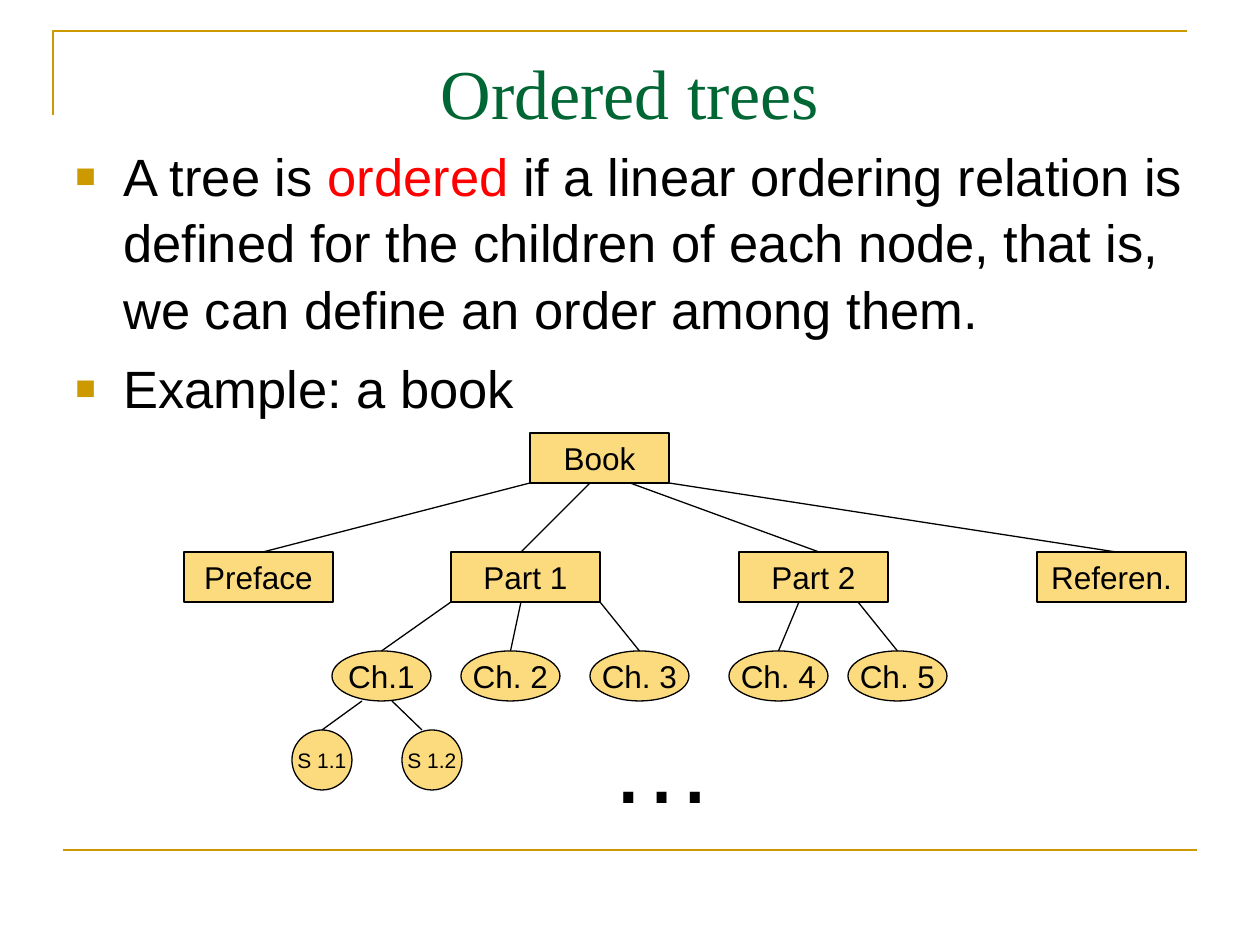
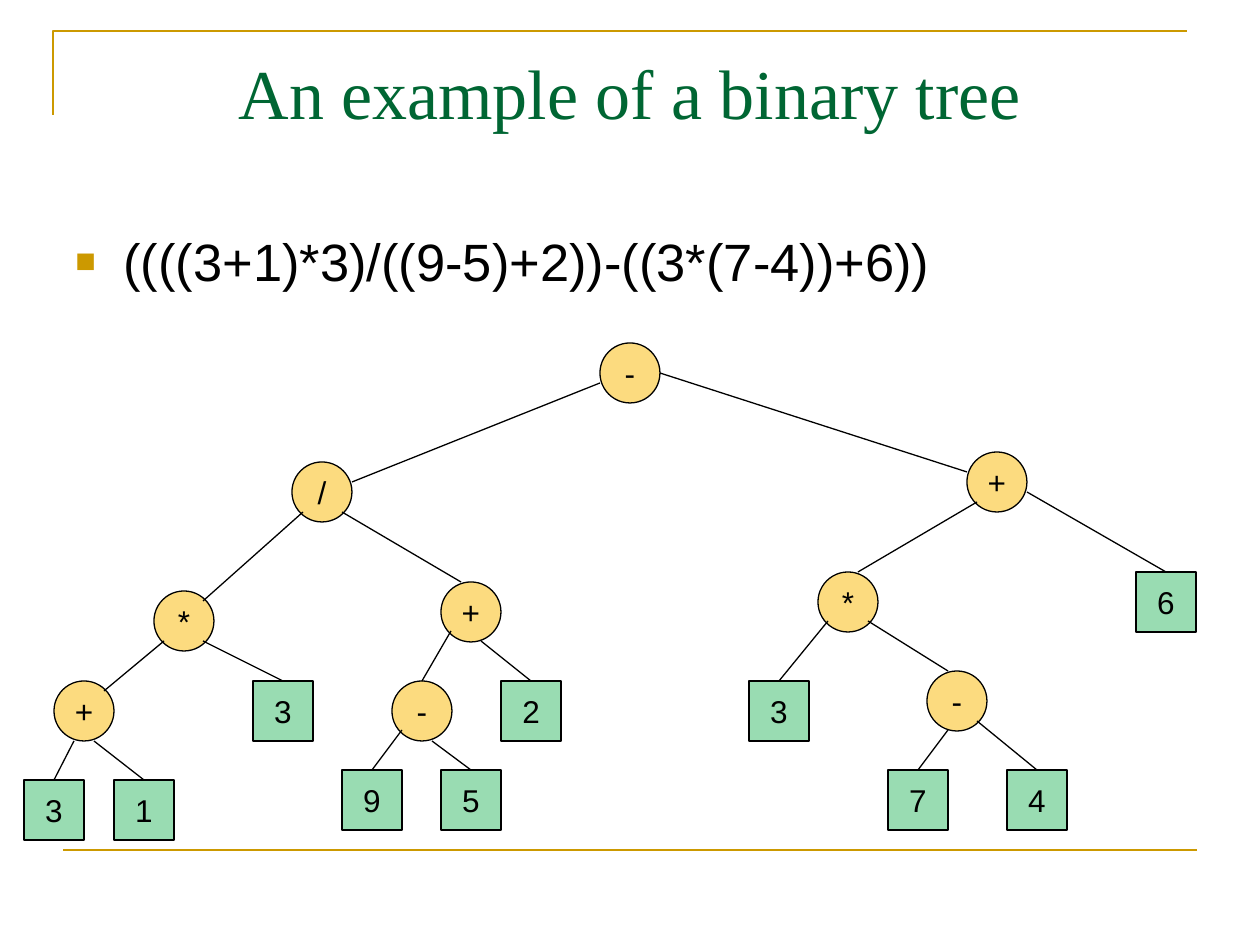
from lxml import etree
from pptx import Presentation
from pptx.dml.color import RGBColor
from pptx.enum import shapes, text
from pptx.oxml import ns
from pptx.util import Emu, Pt

SCALE = 914400 / 126
GOLD = RGBColor(0xCC, 0x99, 0x00)
PINE = RGBColor(0x00, 0x66, 0x33)
BLACK = RGBColor(0, 0, 0)
RED = RGBColor(0xFF, 0, 0)
AMBER = RGBColor(0xFA, 0xB9, 0x00)
MINT = RGBColor(0x34, 0xBA, 0x67)
SANS, SERIF = "Arial", "Times New Roman"
BOX, OVAL = shapes.MSO_SHAPE.RECTANGLE, shapes.MSO_SHAPE.OVAL
SIDE = 60

# text, left, top, shape, width, height, size, link start, link end (None: top of node)
BOOK = [
    ("Book", 530, 433, BOX, 139, 50, 18, None, None),
    ("Preface", 184, 552, BOX, 149, 50, 18, (530, 483), (263, 552)),
    ("Part 1", 451, 552, BOX, 149, 50, 18, (590, 483), (521, 552)),
    ("Part 2", 739, 552, BOX, 149, 50, 18, (630, 483), (819, 552)),
    ("Referen.", 1037, 552, BOX, 149, 50, 18, (669, 483), (1116, 552)),
    ("Ch.1", 332, 651, OVAL, 99, 50, 18, (451, 602), None),
    ("Ch. 2", 461, 651, OVAL, 99, 50, 18, (521, 602), None),
    ("Ch. 3", 590, 651, OVAL, 99, 50, 18, (600, 602), None),
    ("Ch. 4", 729, 651, OVAL, 99, 50, 18, (799, 602), None),
    ("Ch. 5", 848, 651, OVAL, 99, 50, 18, (858, 602), None),
    ("S 1.1", 292, 730, OVAL, SIDE, SIDE, 12, (362, 701), None),
    ("S 1.2", 402, 730, OVAL, SIDE, SIDE, 12, (392, 701), (422, 730)),
]
# text, left, top, link start, link end (None: top of node); digits are leaves
SUM = [
    ("-", 600, 343, None, None),
    ("/", 292, 462, (600, 383), (352, 482)),
    ("+", 967, 452, (660, 373), (967, 472)),
    ("*", 154, 591, (303, 512), (203, 601)),
    ("+", 441, 582, (342, 512), (461, 582)),
    ("+", 54, 681, (164, 641), (104, 691)),
    ("3", 253, 681, (203, 641), None),
    ("3", 24, 780, (74, 741), None),
    ("1", 114, 780, (94, 741), None),
    ("-", 392, 681, (451, 631), None),
    ("2", 501, 681, (481, 641), None),
    ("9", 342, 770, (402, 730), None),
    ("5", 441, 770, (432, 741), None),
    ("*", 818, 572, (977, 502), (858, 572)),
    ("6", 1136, 572, (1027, 492), None),
    ("3", 749, 681, (828, 621), None),
    ("-", 927, 671, (868, 621), (948, 671)),
    ("7", 888, 770, (948, 730), None),
    ("4", 1007, 770, (977, 721), None),
]


def px(*nums):
    return [Emu(round(n * SCALE)) for n in nums]


def put(obj, **vals):
    for key, val in vals.items():
        setattr(obj, key, val)


def add_run(para, words, size, color=BLACK, face=SANS):
    run = para.add_run()
    run.text = words
    put(run.font, size=Pt(size), name=face)
    run.font.color.rgb = color


def ink(line, color, width):
    line.color.rgb = color
    line.width = Pt(width)


def add_line(slide, start, end, color=BLACK, width=0.75):
    line = slide.shapes.add_connector(
        shapes.MSO_CONNECTOR.STRAIGHT, *px(*start, *end))
    ink(line.line, color, width)
    etree.SubElement(line._element.spPr, ns.qn("a:effectLst"))
    return line


def add_text(slide, *area, wrap=True, anchor=text.MSO_ANCHOR.TOP):
    frame = slide.shapes.add_textbox(*px(*area)).text_frame
    put(frame, word_wrap=wrap, vertical_anchor=anchor)
    return frame


def add_node(slide, words, left, top, form, width, height, size, start, end,
             color=AMBER):
    """Draw a half-transparent node and the link that leads to it."""
    node = slide.shapes.add_shape(form, *px(left, top, width, height))
    node.shadow.inherit = False
    node.fill.solid()
    node.fill.fore_color.rgb = color
    tint = node._element.spPr.find(".//" + ns.qn("a:srgbClr"))
    etree.SubElement(tint, ns.qn("a:alpha"), val="50000")
    ink(node.line, BLACK, 0.75)
    put(node.text_frame, word_wrap=False,
        vertical_anchor=text.MSO_ANCHOR.MIDDLE)
    para = node.text_frame.paragraphs[0]
    para.alignment = text.PP_ALIGN.CENTER
    add_run(para, words, size)
    if start:
        line = add_line(slide, start, end or (left + width // 2, top))
        if end is None:
            line.end_connect(node, 0)


def add_list(slide, area, items):
    """Write bulleted items, each a list of (words, colour) runs."""
    frame = add_text(slide, *area)
    for i, runs in enumerate(items):
        para = frame.add_paragraph() if i else frame.paragraphs[0]
        put(para, space_before=Pt(7.5), line_spacing=1.05)
        props = para._p.get_or_add_pPr()
        props.set("marL", str(px(48)[0]))
        props.set("indent", str(px(-48)[0]))
        tint = etree.SubElement(props, ns.qn("a:buClr"))
        etree.SubElement(tint, ns.qn("a:srgbClr"), val=str(GOLD))
        etree.SubElement(props, ns.qn("a:buSzPct"), val="65000")
        etree.SubElement(props, ns.qn("a:buFont"), typeface=SANS)
        etree.SubElement(props, ns.qn("a:buChar"), char="■")
        for words, color in runs:
            add_run(para, words, 30, color)


def add_page(deck, title):
    """Start a slide with the shared gold frame and title."""
    slide = deck.slides.add_slide(deck.slide_layouts[6])
    path = slide.shapes.build_freeform(53, 115, scale=SCALE)
    path.add_line_segments([(53, 31), (1187, 31)], close=False)
    frame = path.convert_to_shape()
    frame.shadow.inherit = False
    frame.fill.background()
    ink(frame.line, GOLD, 1.5)
    add_line(slide, (63, 850), (1197, 850), GOLD, 1.5)
    head = add_text(slide, 63, 38, 1134, 107, anchor=text.MSO_ANCHOR.MIDDLE)
    head.paragraphs[0].alignment = text.PP_ALIGN.CENTER
    add_run(head.paragraphs[0], title, 40, PINE, SERIF)
    return slide


def main():
    deck = Presentation()
    deck.slide_width, deck.slide_height = px(1260, 945)

    slide = add_page(deck, "Ordered trees")
    add_list(slide, (63, 135, 1134, 709), [
        [("A tree is ", BLACK), ("ordered ", RED),
         ("if a linear ordering relation is defined for the children of "
          "each node, that is, we can define an order among them.", BLACK)],
        [("Example: a book", BLACK)],
    ])
    for row in BOOK:
        add_node(slide, *row)
    more = add_text(slide, 597, 692, 130, 139, wrap=False)
    add_run(more.paragraphs[0], "…", 60)

    slide = add_page(deck, "An example of a binary tree")
    add_list(slide, (63, 220, 1134, 83),
             [[("((((3+1)*3)/((9-5)+2))-((3*(7-4))+6))", BLACK)]])
    for words, left, top, start, end in SUM:
        form, color = (BOX, MINT) if words.isdigit() else (OVAL, AMBER)
        add_node(slide, words, left, top, form, SIDE, SIDE, 18, start, end,
                 color)

    deck.save("out.pptx")


if __name__ == "__main__":
    main()
